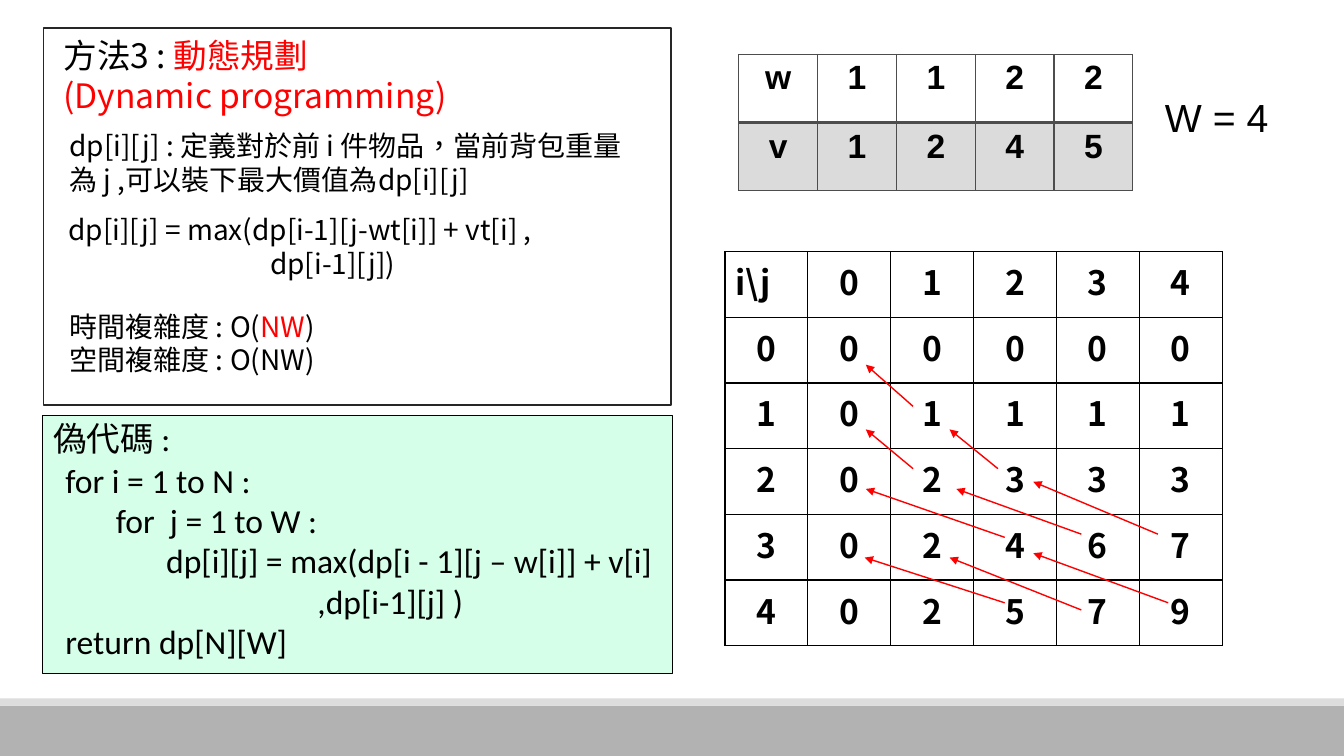
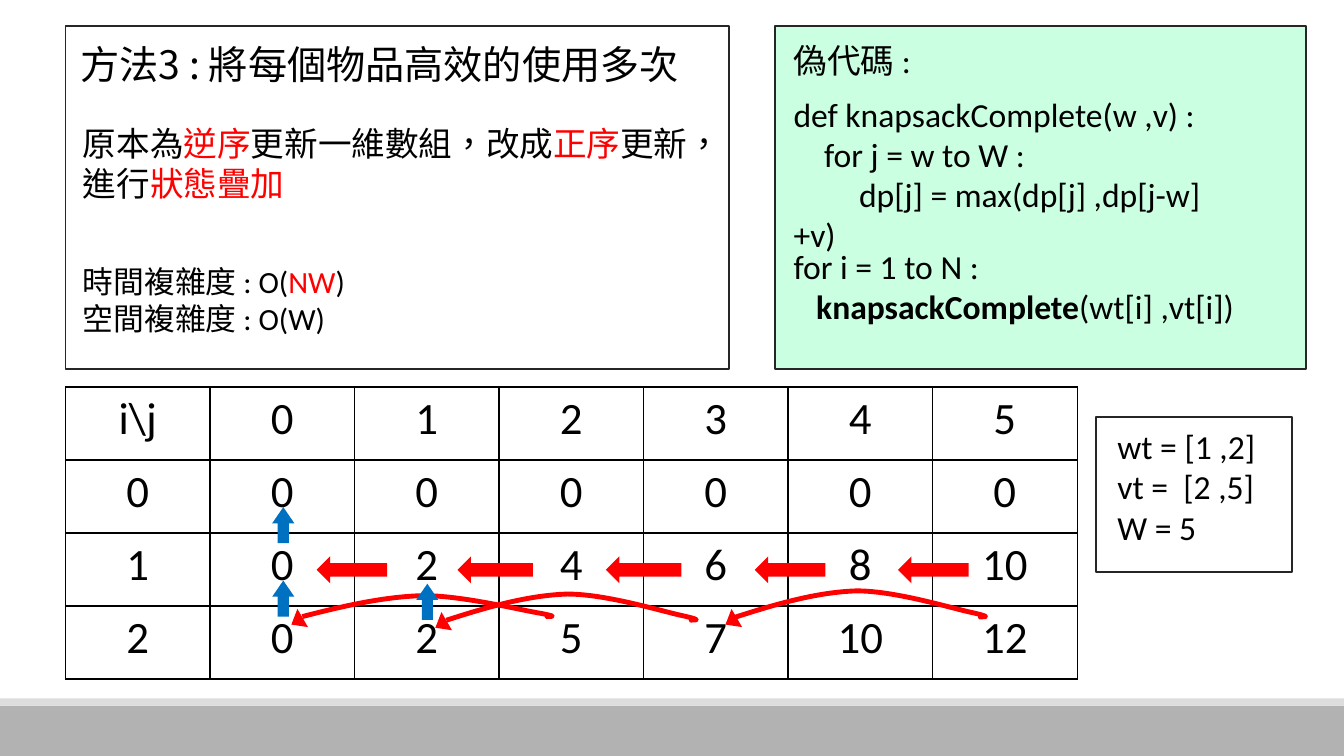
from dataclasses import dataclass
from lxml.etree import SubElement
from pptx import Presentation
from pptx.dml.color import RGBColor
from pptx.enum.lang import MSO_LANGUAGE_ID
from pptx.enum.shapes import MSO_CONNECTOR, MSO_SHAPE
from pptx.enum.text import PP_ALIGN
from pptx.oxml import parse_xml
from pptx.oxml.ns import nsdecls, qn
from pptx.util import Cm, Pt

BLACK = RGBColor(0x00, 0x00, 0x00)
RED = RGBColor(0xFF, 0x00, 0x00)
BLUE = RGBColor(0x00, 0x70, 0xC0)
MINT = RGBColor(0x97, 0xFF, 0xC6)
CHARCOAL = RGBColor(0x26, 0x26, 0x26)
GREY = RGBColor(0x4D, 0x4D, 0x4D)
BAND_DARK = RGBColor(0xB2, 0xB2, 0xB2)
BAND_LIGHT = RGBColor(0xDD, 0xDD, 0xDD)

NOTO, CALIBRI, ARIAL = "Noto Sans CJK SC", "Calibri", "Arial"
SLIDE_WIDTH, SLIDE_HEIGHT = 33.87, 19.05
TAB = 1.27
LINE_PITCH = 1.2
ARC = [(0, .66), (1.02, .33), (2.06, .03), (3.05, 0), (4.06, 0), (5.51, .46), (6.02, .56),
       (6.55, .69), (6.15, .64), (6.17, .66), (6.22, .66), (6.22, .64), (6.22, .61)]


@dataclass
class Run:
    """A stretch of text that may differ from its paragraph."""
    text: str
    color: RGBColor = None
    bold: bool = None


@dataclass
class Line:
    """A paragraph of runs with a first-line indent in centimetres."""
    runs: list
    indent: float = 0


def set_font(paragraph, name, size, bold=None):
    """Set the paragraph's font for Latin and East Asian text."""
    font = paragraph.font
    font.size, font.bold, font.name = Pt(size), bold, name
    font.color.rgb = BLACK
    font.language_id = MSO_LANGUAGE_ID.TRADITIONAL_CHINESE
    SubElement(font._rPr, qn("a:ea"), typeface=NOTO)


def set_opacity(properties, percent):
    """Make the solid fill among the properties partly transparent."""
    color = properties.find(qn("a:solidFill") + "/" + qn("a:srgbClr"))
    SubElement(color, qn("a:alpha"), val=str(percent * 1000))


def add_text(slide, left, top, width, height, font, size, *lines):
    """Add a text box holding strings or Line objects."""
    frame = slide.shapes.add_textbox(Cm(left), Cm(top), Cm(width), Cm(height)).text_frame
    frame.word_wrap = True
    for number, content in enumerate(lines):
        line = Line([content]) if isinstance(content, str) else content
        paragraph = frame.add_paragraph() if number else frame.paragraphs[0]
        paragraph.line_spacing = Pt(size * LINE_PITCH)
        set_font(paragraph, font, size)
        if line.indent:
            paragraph._p.get_or_add_pPr().set("indent", str(Cm(line.indent)))
        for part in line.runs:
            part = Run(part) if isinstance(part, str) else part
            run = paragraph.add_run()
            run.text = part.text
            if part.color is not None:
                run.font.color.rgb = part.color
            if part.bold is not None:
                run.font.bold = part.bold


def add_filled(slide, kind, left, top, width, height, color, rotation=0):
    """Add a borderless preset shape."""
    shape = slide.shapes.add_shape(kind, Cm(left), Cm(top), Cm(width), Cm(height))
    shape.shadow.inherit = False
    shape.fill.solid()
    shape.fill.fore_color.rgb = color
    shape.line.fill.background()
    shape.rotation = rotation
    return shape


def add_panel(slide, left, top, width, height, opacity=0, outline=CHARCOAL):
    """Add an outlined panel, tinted mint when an opacity is given."""
    panel = add_filled(slide, MSO_SHAPE.FLOWCHART_PROCESS, left, top, width, height, MINT)
    if opacity:
        set_opacity(panel.element.spPr, opacity)
    else:
        panel.fill.background()
    panel.line.color.rgb = outline
    panel.line.width = Pt(1.25)


def set_borders(cell, color, **widths):
    """Draw the four cell borders, one point wide unless told otherwise."""
    properties = cell._tc.get_or_add_tcPr()
    for place, side in enumerate("LRTB"):
        properties.insert(place, parse_xml(
            f'<a:ln{side} {nsdecls("a")} w="{Pt(widths.get(side, 1))}">'
            f'<a:solidFill><a:srgbClr val="{color}"/></a:solidFill></a:ln{side}>'))


def add_grid(slide, left, top, width, height, rows, font, size, bold=False):
    """Add an unstyled table of centred values and return it."""
    table = slide.shapes.add_table(len(rows), len(rows[0]), Cm(left), Cm(top),
                                   Cm(width), Cm(height)).table
    table.first_row = table.horz_banding = False
    for r, values in enumerate(rows):
        for c, value in enumerate(values):
            cell = table.cell(r, c)
            cell.text = value
            cell.fill.background()
            paragraph = cell.text_frame.paragraphs[0]
            paragraph.alignment = PP_ALIGN.CENTER
            set_font(paragraph, font, size, bold)
    return table


def add_dp_table(slide, left, top, width, height, rows, font, size, bold=False):
    """Add a black-ruled table of dp values."""
    table = add_grid(slide, left, top, width, height, rows, font, size, bold)
    for cell in table.iter_cells():
        set_borders(cell, BLACK)
    return table


def add_item_table(slide):
    """Add the table of item weights and values."""
    table = add_grid(slide, 18.62, 1.37, 9.93, 3.44, ["w1122", "v1245"], ARIAL, 24, True)
    for number, cell in enumerate(table.iter_cells()):
        if number < len(table.columns):
            set_borders(cell, GREY, B=2)
        else:
            cell.fill.solid()
            cell.fill.fore_color.rgb = GREY
            set_opacity(cell._tc.get_or_add_tcPr(), 20)
            set_borders(cell, GREY, T=2)


def add_arrow(slide, start, end):
    """Add a thin red arrow."""
    ends = [Cm(value) for value in (*start, *end)]
    arrow = slide.shapes.add_connector(MSO_CONNECTOR.STRAIGHT, *ends)
    arrow.line.color.rgb = RED
    arrow.line.width = Pt(1)
    SubElement(arrow.line._get_or_add_ln(), qn("a:tailEnd"), type="triangle")
    SubElement(arrow.element.spPr, qn("a:effectLst"))


def add_arc(slide, left, top, stretch):
    """Add a thick red curve, its height scaled by stretch."""
    points = [(Cm(left + x), Cm(top + y * stretch)) for x, y in ARC]
    builder = slide.shapes.build_freeform(*points[0])
    builder.add_line_segments(points[1:], close=False)
    arc = builder.convert_to_shape()
    arc.shadow.inherit = False
    arc.fill.background()
    arc.line.color.rgb = RED
    arc.line.width = Pt(3.5)
    outline = arc.element.find(".//" + qn("a:path"))
    segments = outline.findall(qn("a:lnTo"))
    for first in range(0, len(segments), 3):
        curve = SubElement(outline, qn("a:cubicBezTo"))
        for segment in segments[first:first + 3]:
            curve.append(segment[0])
            outline.remove(segment)


def add_master_bands(prs, slide):
    """Put the two footer bands on the slide master."""
    bands = [(17.78, 1.27, BAND_DARK), (17.6, 0.18, BAND_LIGHT)]
    for number, (top, height, color) in enumerate(bands):
        band = add_filled(slide, MSO_SHAPE.RECTANGLE, 0, top, SLIDE_WIDTH, height, color)
        band.element.nvSpPr.cNvPr.id = 100 + number
        prs.slide_master.shapes.element.append(band.element)


def build_dynamic_programming(slide):
    """Build the slide on the two-dimensional solution."""
    add_panel(slide, 1.1, 0.7, 15.82, 9.5)
    add_text(slide, 1.35, 0.75, 13.23, 2.31, NOTO, 24,
             Line(["方法3 : ", Run("動態規劃", RED)]),
             Line([Run("(Dynamic programming)", RED)]))
    add_text(slide, 1.5, 3.12, 15.1, 1.96, NOTO, 20,
             "dp[i][j] : 定義對於前 i 件物品，當前背包重量為 j ,可以裝下最大價值為dp[i][j]")
    add_text(slide, 1.5, 7.67, 13.51, 1.96, NOTO, 20,
             Line(["時間複雜度 : O(", Run("NW", RED), ")"]), "空間複雜度 : O(NW)")
    add_item_table(slide)
    rows = [["i\\j", *"01234"], "000000", "101111", "202333", "302467", "402579"]
    table = add_dp_table(slide, 18.27, 6.34, 12.53, 9.93, rows, NOTO, 24, True)
    table.cell(0, 0).text_frame.paragraphs[0].alignment = PP_ALIGN.LEFT
    add_text(slide, 29.11, 2.24, 3.4, 1.45, ARIAL, 28, "W = 4")
    add_text(slide, 1.48, 5.23, 15.44, 1.96, NOTO, 20,
             "dp[i][j] = max(dp[i-1][j-wt[i]] + vt[i] ,",
             Line(["dp[i-1][j])"], 4 * TAB))
    for start, end in [((23.01, 10.24), (21.82, 9.19)), ((25.15, 11.81), (23.93, 10.82)),
                       ((23.01, 11.81), (21.82, 10.82)), ((25.32, 13.54), (21.82, 12.32)),
                       ((27.25, 13.46), (24.1, 12.32)), ((29.18, 13.46), (26.04, 12.14)),
                       ((25.32, 15.19), (21.79, 14.05)), ((27.25, 15.37), (23.93, 14.05)),
                       ((29.44, 15.19), (26.04, 13.94))]:
        add_arrow(slide, start, end)
    add_panel(slide, 1.07, 10.47, 15.88, 6.5, 40, BLACK)
    add_text(slide, 1.4, 11.46, 15.82, 5.38, CALIBRI, 24,
             "for i = 1 to N :",
             Line(["for  j = 1 to W :"], TAB),
             Line(["dp[i][j] = max(dp[i - 1][j – w[i]] + v[i]"], 2 * TAB),
             Line([",dp[i-1][j] )"], 5 * TAB),
             "return dp[N][W]")
    add_text(slide, 1.09, 10.41, 4, 1.27, CALIBRI, 24, "偽代碼 :")


def build_complete_knapsack(slide):
    """Build the slide on reusing each item."""
    add_panel(slide, 1.65, 0.66, 16.73, 8.64)
    add_text(slide, 1.78, 0.89, 16.6, 1.45, NOTO, 28, "方法3 : 將每個物品高效的使用多次")
    add_text(slide, 1.84, 2.97, 16.5, 2.31, NOTO, 24,
             Line(["原本為", Run("逆序", RED), "更新一維數組，改成", Run("正序", RED),
                   "更新，進行", Run("狀態疊加", RED)]))
    add_text(slide, 1.84, 6.5, 18.29, 2.13, CALIBRI, 22,
             Line(["時間複雜度 : O(", Run("NW", RED), ")"]), "空間複雜度 : O(W)")
    add_panel(slide, 27.63, 10.51, 4.93, 3.91)
    add_text(slide, 27.91, 10.61, 4.4, 3.33, CALIBRI, 24,
             "wt = [1 ,2]", "vt =  [2 ,5]", "W = 5")
    rows = [["i\\j", *"012345"], "0000000", [*"102468", "10"], [*"20257", "10", "12"]]
    add_dp_table(slide, 1.65, 9.75, 25.5, 7.36, rows, CALIBRI, 32)
    for left, width in [(7.98, 1.78), (11.53, 1.9), (15.27, 1.9), (19.02, 1.78), (22.63, 1.78)]:
        add_filled(slide, MSO_SHAPE.LEFT_ARROW, left, 14.02, width, 0.68, RED)
    for left, top, stretch in [(11.25, 14.97, 1), (18.54, 14.89, 1), (7.62, 15.01, 0.8)]:
        add_arc(slide, left, top, stretch)
    for left, top in [(6.86, 12.78), (6.86, 14.63), (10.49, 14.71)]:
        up = add_filled(slide, MSO_SHAPE.UP_ARROW, left, top, 0.56, 0.91, BLUE)
        up.adjustments[1] = 0.73
    for left, top in [(7.22, 15.49), (10.85, 15.57), (18.16, 15.49)]:
        add_filled(slide, MSO_SHAPE.ISOSCELES_TRIANGLE, left, top, 0.53, 0.33, RED, 239.9)
    add_panel(slide, 19.54, 0.66, 13.38, 8.64, 50)
    add_text(slide, 19.75, 0.89, 4, 1.27, CALIBRI, 24, "偽代碼 :")
    add_text(slide, 19.75, 6.06, 13.11, 2.31, CALIBRI, 24,
             "for i = 1 to N :",
             Line([Run("knapsackComplete", bold=True), "(wt[i] ,vt[i])"], 0.57))
    add_text(slide, 19.75, 2.23, 11.58, 3.33, CALIBRI, 24,
             "def knapsackComplete(w ,v) :",
             Line(["for j = w to W :"], 0.77),
             Line(["dp[j] = max(dp[j] ,dp[j-w]+v)"], 1.65))


def main():
    """Build and save the presentation."""
    prs = Presentation()
    prs.slide_width, prs.slide_height = Cm(SLIDE_WIDTH), Cm(SLIDE_HEIGHT)
    blank = prs.slide_layouts[6]
    first = prs.slides.add_slide(blank)
    add_master_bands(prs, first)
    build_dynamic_programming(first)
    build_complete_knapsack(prs.slides.add_slide(blank))
    prs.save("out.pptx")


if __name__ == "__main__":
    main()
